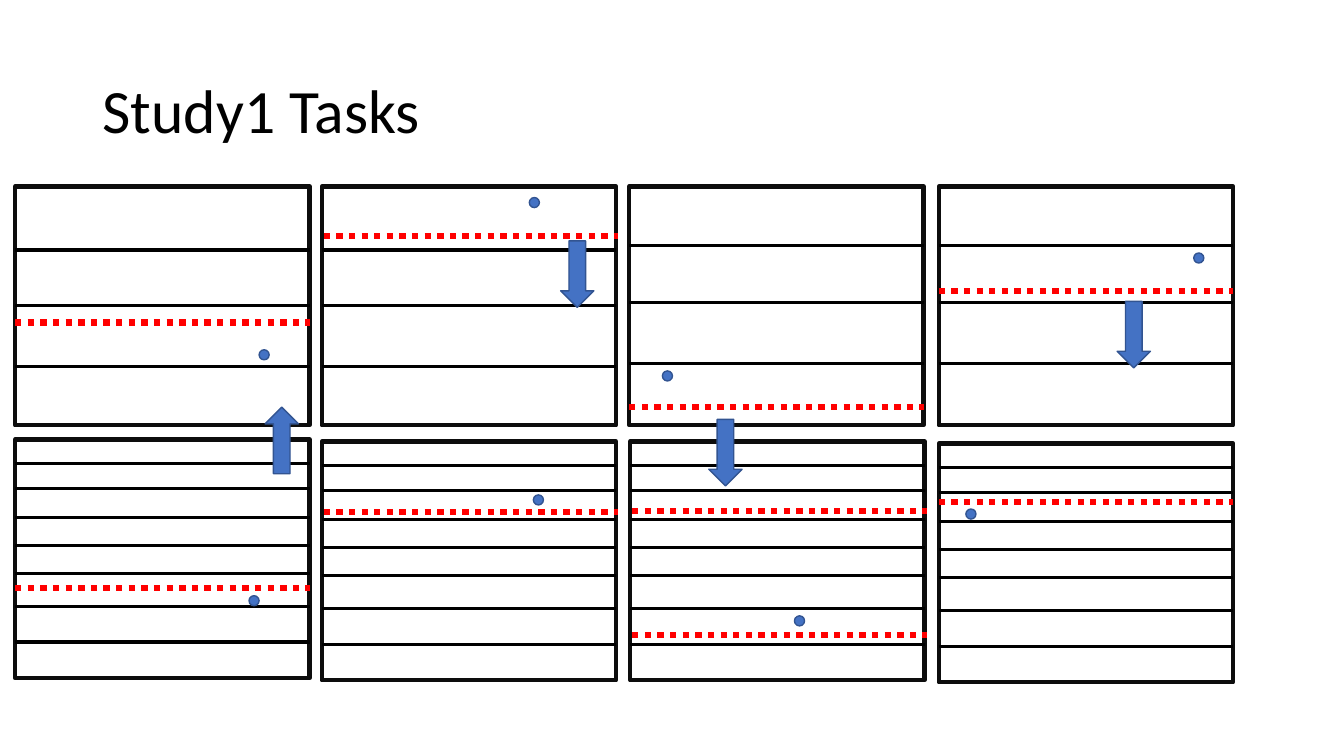
from lxml import etree
from pptx import Presentation
from pptx.dml.color import RGBColor
from pptx.enum.dml import MSO_LINE
from pptx.enum.shapes import MSO_CONNECTOR, MSO_SHAPE
from pptx.enum.text import MSO_ANCHOR
from pptx.oxml.ns import qn
from pptx.util import Pt

RECT, DOT, ARROW = MSO_SHAPE.RECTANGLE, MSO_SHAPE.OVAL, MSO_SHAPE.UP_ARROW
STRAIGHT = MSO_CONNECTOR.STRAIGHT
MIDDLE = MSO_ANCHOR.MIDDLE
SOLID, DOTTED = MSO_LINE.SOLID, MSO_LINE.ROUND_DOT  # ROUND_DOT is sysDot
PX = 9144  # 100 px to the inch
COLORS = {"black": "000000", "frame": "0D0D0D", "red": "FF0000",
          "blue": "4472C4", "edge": "325491"}
PANEL_W, PANEL_H = 292, 237
DOT_SIZE = 10
ARROW_W, ARROW_H = 33, 66


def add_shape(kind, x, y, w, h, fill, edge, weight):
    sp = s.shapes.add_shape(kind, x * PX, y * PX, w * PX, h * PX)
    sp.shadow.inherit = False
    if fill:
        sp.fill.solid()
        sp.fill.fore_color.rgb = RGBColor.from_string(COLORS[fill])
    else:
        sp.fill.background()
    sp.line.color.rgb = RGBColor.from_string(COLORS[edge])
    sp.line.width = Pt(weight)
    return sp


def add_rule(x, y, color, weight, dash):
    """Draw a horizontal line across one panel."""
    line = s.shapes.add_connector(STRAIGHT, x * PX, y * PX, (x + PANEL_W) * PX, y * PX)
    line.line.color.rgb = RGBColor.from_string(COLORS[color])
    line.line.width = Pt(weight)
    line.line.dash_style = dash
    etree.SubElement(line._element.spPr, qn("a:effectLst"))


prs = Presentation()
prs.slide_width, prs.slide_height = 1333 * PX, 750 * PX
s = prs.slides.add_slide(prs.slide_layouts[6])

# Title
tf = s.shapes.add_textbox(92 * PX, 40 * PX, 1150 * PX, 145 * PX).text_frame
tf.word_wrap = True
tf.vertical_anchor = MIDDLE
p = tf.paragraphs[0]
p.line_spacing = 0.9
r = p.add_run()
r.text = "Study1 Tasks"
for name, value in {"name": "Calibri", "size": Pt(44)}.items():
    setattr(r.font, name, value)
r.font.color.rgb = RGBColor.from_string(COLORS["black"])

# Panels: left, top, divider offsets from the top
high, low = (63, 118, 179), (59, 115, 176)
eight_rows = (24, 49, 77, 105, 133, 166, 201)
panels = [
    (15, 185, high), (319, 185, high), (624, 185, low), (931, 185, low),
    (15, 436, eight_rows), (319, 438, eight_rows),
    (625, 438, eight_rows), (931, 440, eight_rows),
]
for x, top, offsets in panels:
    add_shape(RECT, x, top, PANEL_W, PANEL_H, None, "frame", 3)
    for offset in offsets:
        add_rule(x, top + offset, "black", 2.25, SOLID)

# Dotted red lines
for x, y in [(15, 320), (321, 234), (624, 404), (931, 289), (15, 583),
             (321, 508), (627, 507), (627, 630), (931, 498)]:
    add_rule(x, y, "red", 4.5, DOTTED)

# Blue dots
for x, y in [(257, 347), (525, 196), (657, 368), (1184, 251),
             (247, 591), (529, 491), (788, 611), (958, 505)]:
    add_shape(DOT, x, y, DOT_SIZE, DOT_SIZE, "blue", "edge", 1)

# Arrows: left, top, rotation
for x, y, rotation in [(263, 404, 0), (556, 239, 180), (703, 416, 180), (1108, 299, 180)]:
    sp = add_shape(ARROW, x, y, ARROW_W, ARROW_H, "blue", "edge", 1)
    sp.rotation = rotation

prs.save("out.pptx")
